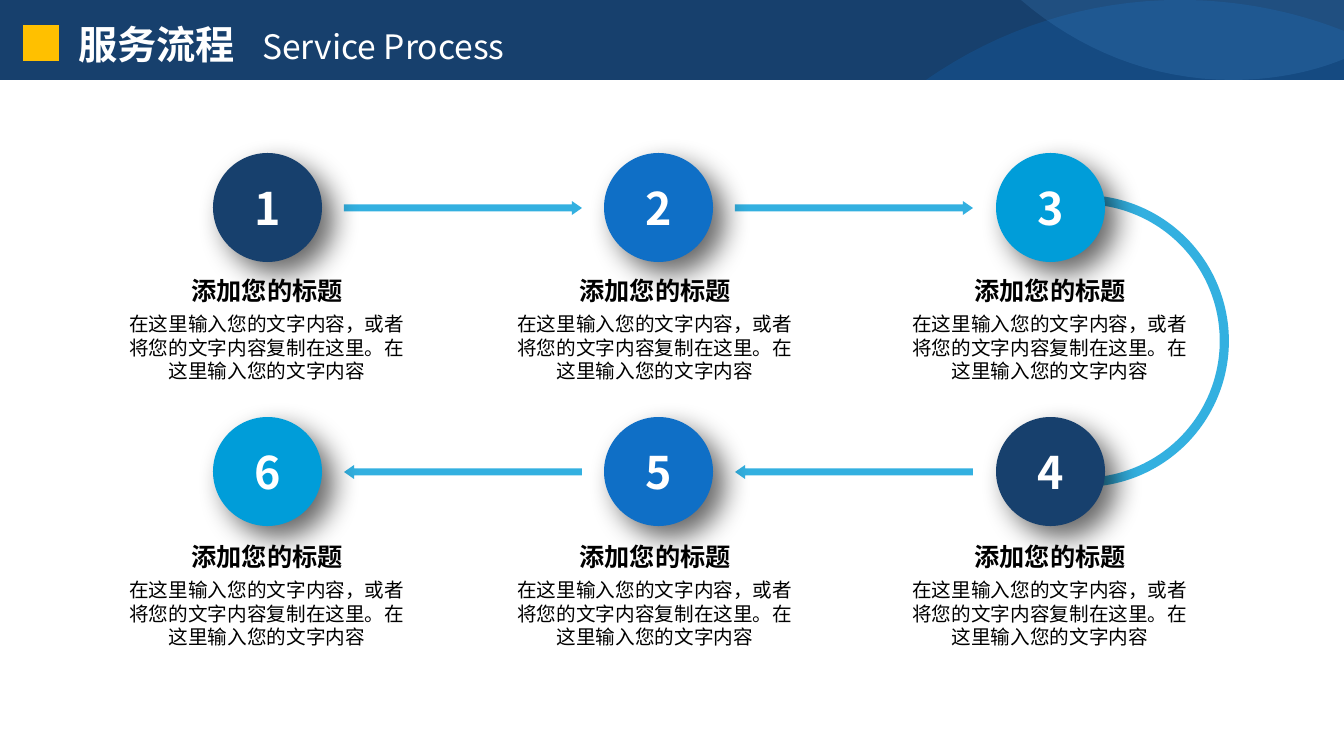
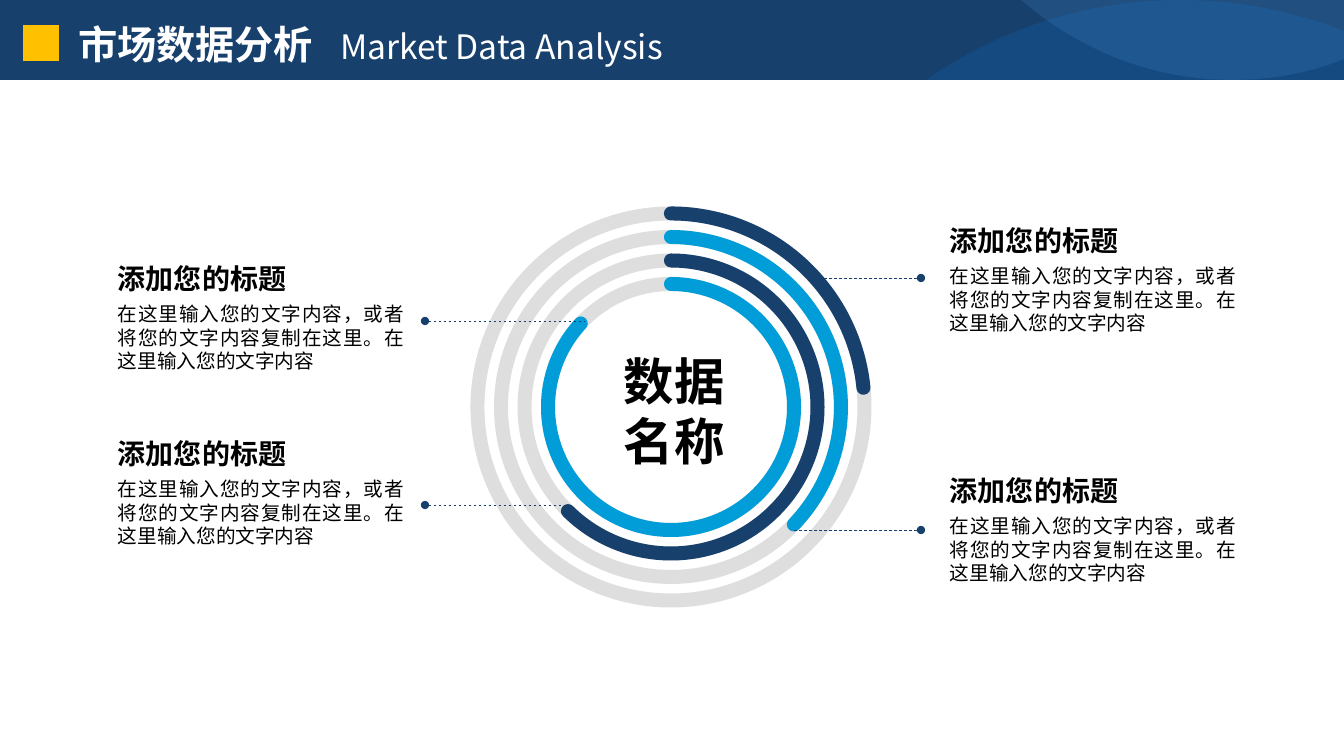
from lxml import etree
from pptx import Presentation
from pptx.dml.color import RGBColor
from pptx.enum.dml import MSO_LINE
from pptx.enum.shapes import MSO_CONNECTOR, MSO_SHAPE
from pptx.enum.text import MSO_ANCHOR, MSO_AUTO_SIZE, PP_ALIGN
from pptx.oxml.ns import qn
from pptx.util import Pt

PX = 914400 / 100.8
FONT = "Noto Sans CJK SC"
NAVY, BLUE, CYAN, PALE = "17406D", "0F6FC6", "009DD9", "59AAF2"
GOLD, GREY, WHITE, BLACK = "FFC000", "BFBFBF", "FFFFFF", "000000"
RECT, OVAL, ARC, BLOCK_ARC = MSO_SHAPE.RECTANGLE, MSO_SHAPE.OVAL, MSO_SHAPE.ARC, MSO_SHAPE.BLOCK_ARC
RIGHT_ARROW, LEFT_ARROW = MSO_SHAPE.RIGHT_ARROW, MSO_SHAPE.LEFT_ARROW
LEFT, CENTER, JUSTIFY = PP_ALIGN.LEFT, PP_ALIGN.CENTER, PP_ALIGN.JUSTIFY
TOP, FIT = MSO_ANCHOR.TOP, MSO_AUTO_SIZE.SHAPE_TO_FIT_TEXT
STRAIGHT, DASH = MSO_CONNECTOR.STRAIGHT, MSO_LINE.DASH

HEADING = "添加您的标题"
BODY = "在这里输入您的文字内容，或者将您的文字内容复制在这里。在这里输入您的文字内容"
TITLES = [("服务流程", "Service Process"), ("市场数据分析", "Market Data Analysis")]
# Each swoosh: colour, opacity, start, then line (1 point) or Bezier (3 points) steps
SWOOSHES = [
    (BLUE, 23, (1180, 0), [[(1238, 0), (1293, 11), (1344, 31)], [(1344, 80)], [(926, 80)],
                           [(999, 29), (1087, 0), (1180, 0)]]),
    (PALE, 15, (1344, 0), [[(1344, 59)], [(1310, 73), (1271, 80), (1232, 80)],
                           [(1151, 80), (1078, 49), (1021, 0)]]),
]


def paint(fill, color, alpha=100):
    fill.solid()
    fill.fore_color.rgb = RGBColor.from_string(color)
    if alpha < 100:
        clr = fill._xPr.find(qn("a:solidFill")).find(qn("a:srgbClr"))
        etree.SubElement(clr, qn("a:alpha"), val=str(alpha * 1000))


def write(p, text, size, color=BLACK, bold=False):
    r = p.add_run()
    r.text = text
    for name, value in {"name": FONT, "size": Pt(size), "bold": bold}.items():
        setattr(r.font, name, value)
    paint(r.font.fill, color)
    etree.SubElement(r.font._element, qn("a:ea"), typeface=FONT)


prs = Presentation()
prs.slide_width, prs.slide_height = round(1344 * PX), round(756 * PX)

# Header shared by both slides
for name, english in TITLES:
    s = prs.slides.add_slide(prs.slide_layouts[5])
    for x, y, w, h, color in [(0, 0, 1344, 80, NAVY), (23, 25, 36, 36, GOLD)]:
        sp = s.shapes.add_shape(RECT, *(round(v * PX) for v in (x, y, w, h)))
        sp.shadow.inherit = False
        paint(sp.fill, color)
        sp.line.fill.background()
    for color, alpha, start, steps in SWOOSHES:
        points = [start]
        for step in steps:
            if len(step) == 1:
                points += step
                continue
            curve = [points[-1], *step]
            for t in (i / 16 for i in range(1, 17)):
                weights = ((1 - t) ** 3, 3 * t * (1 - t) ** 2, 3 * t * t * (1 - t), t ** 3)
                points.append(tuple(sum(k * c[axis] for k, c in zip(weights, curve))
                                    for axis in (0, 1)))
        emu = [(round(x * PX), round(y * PX)) for x, y in points]
        builder = s.shapes.build_freeform(*emu[0])
        builder.add_line_segments(emu[1:], close=True)
        sp = builder.convert_to_shape()
        sp.shadow.inherit = False
        paint(sp.fill, color, alpha)
        sp.line.fill.background()

    # Title in front of the band, English part at a tab stop
    title = s.shapes.title
    s.shapes.element.append(title.element)
    title.left, title.top, title.width, title.height = (round(v * PX) for v in (68, 15, 733, 57))
    tf = title.text_frame
    for key, value in {"word_wrap": True, "vertical_anchor": TOP, "auto_size": FIT}.items():
        setattr(tf, key, value)
    p = tf.paragraphs[0]
    p.alignment = LEFT
    tabs = etree.SubElement(p._p.get_or_add_pPr(), qn("a:tabLst"))
    etree.SubElement(tabs, qn("a:tab"), pos=str(round((39 * len(name) + 28) * PX)), algn="l")
    write(p, name + "\t", 28, WHITE, True)
    write(p, english, 24, WHITE)

process, analysis = prs.slides
boxes = []  # slide, left, top, width, height, lines, size, bold, alignment

# Process: return bend and arrows
bend_and_arrows = [(BLOCK_ARC, 937, 195, 292, 292, (162, 54, 0.0315))]
for x in (344, 735):
    for y, kind in [(201, RIGHT_ARROW), (465, LEFT_ARROW)]:
        bend_and_arrows.append((kind, x, y, 238, 14, (0.5, 0.72)))
for kind, x, y, w, h, adjustments in bend_and_arrows:
    sp = process.shapes.add_shape(kind, *(round(v * PX) for v in (x, y, w, h)))
    sp.shadow.inherit = False
    for i, value in enumerate(adjustments):
        sp.adjustments[i] = value
    paint(sp.fill, CYAN, 80)
    sp.line.fill.background()

# Process: numbered circles with captions
for row, (circle_top, heading_top) in enumerate([(153, 270), (417, 536)]):
    for col, (circle_left, body_left) in enumerate([(213, 115), (604, 503), (996, 898)]):
        step = 6 - col if row else col + 1
        sp = process.shapes.add_shape(
            OVAL, *(round(v * PX) for v in (circle_left, circle_top, 109, 109)))
        sp.shadow.inherit = False
        paint(sp.fill, (NAVY, BLUE, CYAN)[(step - 1) % 3])
        sp.line.fill.background()
        effects = sp.element.spPr.find(qn("a:effectLst"))
        shadow = etree.SubElement(effects, qn("a:outerShdw"), blurRad=str(Pt(20)),
                                  dist=str(Pt(12)), dir="2700000", algn="tl", rotWithShape="0")
        clr = etree.SubElement(shadow, qn("a:srgbClr"), val=BLACK)
        etree.SubElement(clr, qn("a:alpha"), val="60000")
        p = sp.text_frame.paragraphs[0]
        p.alignment = CENTER
        write(p, str(step), 32, WHITE, True)
        boxes += [
            (process, body_left, heading_top + 37, 304, 82, [BODY], 14, False, CENTER),
            (process, body_left + 29, heading_top, 246, 40, [HEADING], 18, True, CENTER),
        ]

# Analysis: grey rings under coloured arcs, end angle in degrees
arc_ends = [354.3, 43.7, 134.7, 222.8]
for kind in (OVAL, ARC):
    for i, end in enumerate(arc_ends):
        d = 387 - 47 * i
        sp = analysis.shapes.add_shape(
            kind, *(round(v * PX) for v in (671 - d / 2, 407 - d / 2, d, d)))
        sp.shadow.inherit = False
        sp.fill.background()
        sp.line.width = Pt(10)
        if kind == OVAL:
            paint(sp.line.fill, GREY, 50)
        else:
            sp.adjustments[0], sp.adjustments[1] = 270 * 0.6, end * 0.6
            paint(sp.line.fill, (NAVY, CYAN)[i % 2])
            sp.element.spPr.find(qn("a:ln")).set("cap", "rnd")

# Analysis: callouts with dotted leaders
callouts = [(940, 219, 921, 817, 278), (940, 469, 921, 793, 530),
            (108, 432, 425, 567, 505), (108, 257, 425, 585, 321)]
for x, y, dot_x, ring_x, line_y in callouts:
    leader = analysis.shapes.add_connector(
        STRAIGHT, *(round(v * PX) for v in (dot_x, line_y, ring_x, line_y)))
    paint(leader.line.fill, NAVY)
    leader.line.width = Pt(0.5)
    leader.line.dash_style = DASH
    spPr = leader.element.spPr
    etree.SubElement(spPr.find(qn("a:ln")), qn("a:headEnd"), type="oval")
    etree.SubElement(spPr, qn("a:effectLst"))
    boxes += [
        (analysis, x, y, 226, 44, [HEADING], 20, True, LEFT),
        (analysis, x, y + 40, 306, 82, [BODY], 14, False, JUSTIFY),
    ]
boxes.append((analysis, 561, 345, 226, 132, ["数据", "名称"], 36, True, CENTER))

# Text boxes of both slides
for s, x, y, w, h, lines, size, bold, align in boxes:
    tf = s.shapes.add_textbox(*(round(v * PX) for v in (x, y, w, h))).text_frame
    tf.word_wrap = True
    tf.auto_size = FIT
    for i, line in enumerate(lines):
        p = tf.add_paragraph() if i else tf.paragraphs[0]
        p.alignment = align
        write(p, line, size, bold=bold)

prs.save("out.pptx")
